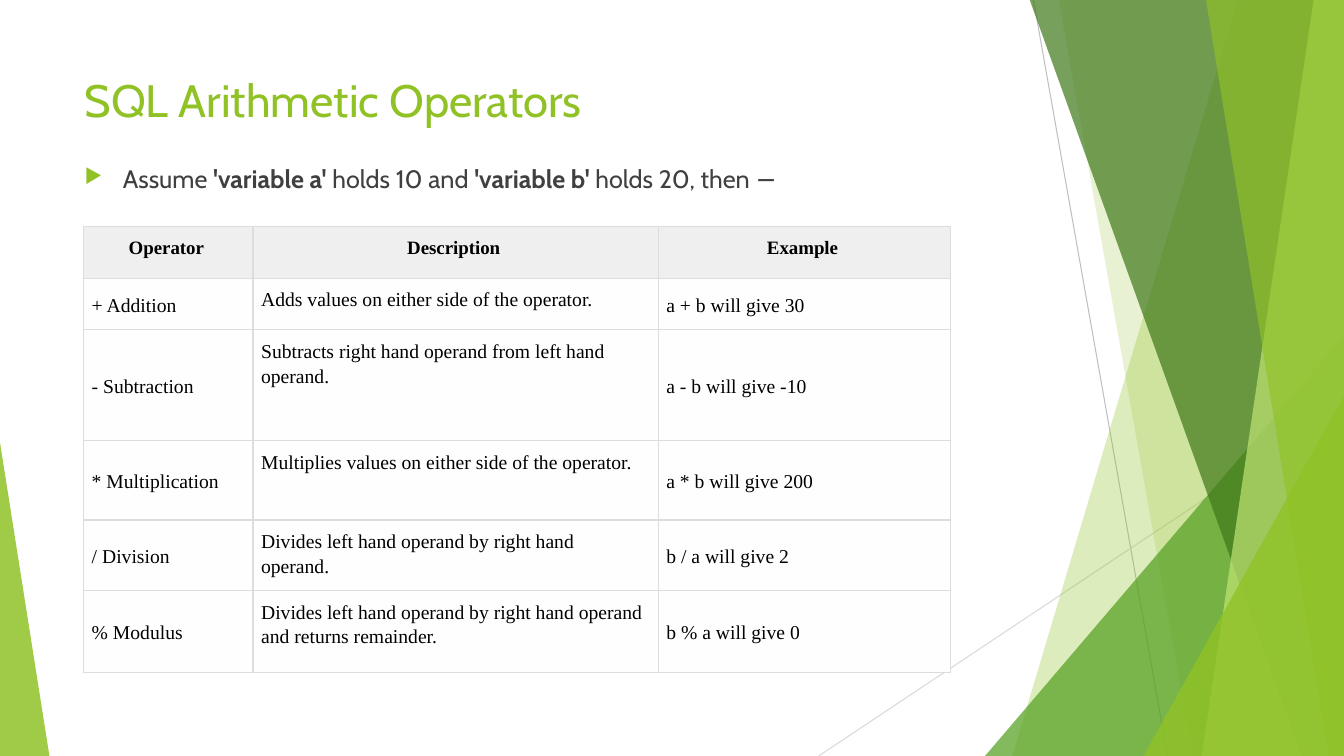
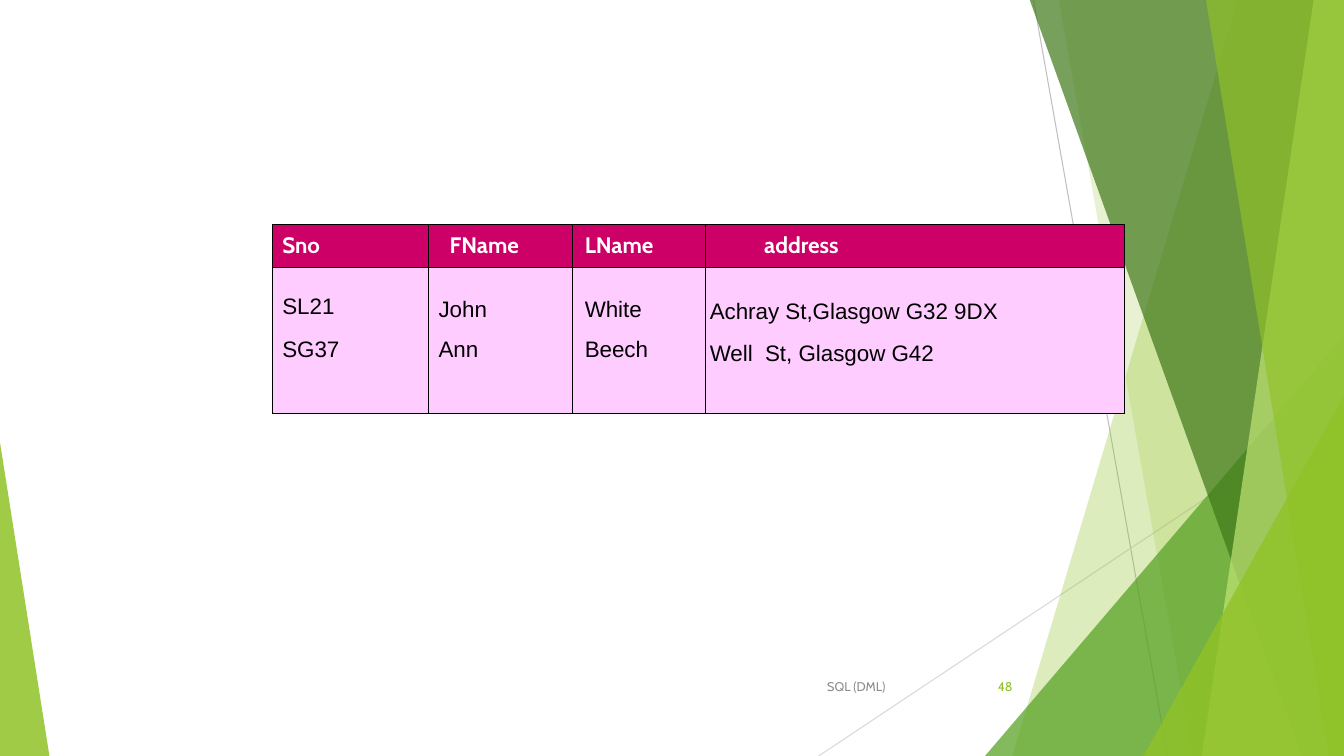
from dataclasses import dataclass

from lxml import etree
from pptx import Presentation
from pptx.dml.color import RGBColor
from pptx.enum.shapes import MSO_CONNECTOR, MSO_SHAPE
from pptx.enum.text import MSO_ANCHOR, PP_ALIGN
from pptx.oxml.ns import qn
from pptx.util import Inches, Pt

TRIANGLE = MSO_SHAPE.ISOSCELES_TRIANGLE
STRAIGHT = MSO_CONNECTOR.STRAIGHT
TOP, MIDDLE = MSO_ANCHOR.TOP, MSO_ANCHOR.MIDDLE
LEFT, CENTER, RIGHT = PP_ALIGN.LEFT, PP_ALIGN.CENTER, PP_ALIGN.RIGHT


@dataclass(frozen=True)
class TextStyle:
    """Font, size, colour and weight of a text."""
    font: str
    size: float
    color: str
    bold: bool = False


@dataclass(frozen=True)
class Theme:
    """Colours and type sizes of the presentation."""
    green: str = "90C226"
    mid_green: str = "54A021"
    dark_green: str = "3F7819"
    light_green: str = "C0E474"
    rule_dark: str = "BFBFBF"
    rule_light: str = "D9D9D9"
    grid: str = "DDDDDD"
    grid_head: str = "EFEFEF"
    grid_body: str = "FEFEFE"
    magenta: str = "CC0066"
    pink: str = "FFCCFF"
    black: str = "000000"
    title: TextStyle = TextStyle("Cabin", 32.4, "90C226")
    body: TextStyle = TextStyle("Cabin", 18, "404040")
    footer: TextStyle = TextStyle("Cabin", 9, "8C8C8C")
    number: TextStyle = TextStyle("Cabin", 9, "90C226")
    operator_head: TextStyle = TextStyle("Times New Roman", 13.5, "000000", True)
    operator_body: TextStyle = TextStyle("Times New Roman", 14, "000000")
    record_head: TextStyle = TextStyle("Cabin", 16, "FFFFFF", True)
    record_body: TextStyle = TextStyle("Arial", 16, "000000")


class Deck:
    """Holds the theme and the current slide and draws each kind of element."""

    def __init__(self, theme):
        """Start an empty widescreen presentation."""
        self.theme = theme
        self.presentation = Presentation()
        self.presentation.slide_width = Inches(13.33)
        self.presentation.slide_height = Inches(7.5)
        self.slide = None

    def new_slide(self):
        """Add a blank slide with the shared green facets."""
        theme = self.theme
        self.slide = self.presentation.slides.add_slide(self.presentation.slide_layouts[6])
        self.line((10.25, 0), (11.58, 7.5), theme.rule_dark)
        self.line((13.33, 4.03), (8.12, 7.5), theme.rule_light)
        self.facet(12.28, 10.04, theme.green, 30)
        self.facet(10.5, 11.83, theme.green, 20)
        self.triangle(9.77, 3.33, 3.56, 1, theme.mid_green, 72)
        self.facet(10.21, 12.91, theme.dark_green, 70)
        self.facet(13.03, 11.92, theme.light_green, 70)
        self.facet(11.96, 13.18, theme.green, 65)
        self.triangle(11.34, 3.93, 1.99, 1, theme.green, 80)
        self.triangle(0, 4.39, 0.49, 0, theme.green, 85)

    def line(self, start, end, color):
        """Draw a thin straight line."""
        points = [Inches(value) for value in (*start, *end)]
        connector = self.slide.shapes.add_connector(STRAIGHT, *points)
        connector.line.color.rgb = RGBColor.from_string(color)
        connector.line.width = Pt(0.75)
        etree.SubElement(connector.element.spPr, qn("a:effectLst"))

    def paint(self, shape, color, opacity):
        """Give a shape a translucent fill without outline or shadow."""
        shape.shadow.inherit = False
        shape.fill.solid()
        shape.fill.fore_color.rgb = RGBColor.from_string(color)
        shape.line.fill.background()
        fill_color = shape.element.spPr.find(qn("a:solidFill")).find(qn("a:srgbClr"))
        etree.SubElement(fill_color, qn("a:alpha"), val=str(opacity * 1000))

    def facet(self, top_left, bottom_left, color, opacity):
        """Draw a full-height facet that ends at the right slide edge."""
        corners = [(top_left, -0.01), (13.33, -0.01), (13.33, 7.5), (bottom_left, 7.5)]
        points = [(Inches(x), Inches(y)) for x, y in corners]
        builder = self.slide.shapes.build_freeform(*points[0], scale=1.0)
        builder.add_line_segments(points[1:], close=True)
        self.paint(builder.convert_to_shape(), color, opacity)

    def triangle(self, left, top, width, peak, color, opacity):
        """Draw a right triangle that stands on the bottom edge."""
        shape = self.slide.shapes.add_shape(
            TRIANGLE, Inches(left), Inches(top), Inches(width), Inches(7.5 - top))
        shape.adjustments[0] = peak
        self.paint(shape, color, opacity)

    def format_run(self, run, style, bold=None):
        """Apply a text style to a run."""
        run.font.name = style.font
        run.font.size = Pt(style.size)
        run.font.bold = style.bold if bold is None else bold
        run.font.color.rgb = RGBColor.from_string(style.color)

    def text(self, box, runs, style, align=LEFT, anchor=TOP):
        """Add a one-paragraph text box from (text, bold) runs."""
        shape = self.slide.shapes.add_textbox(*[Inches(value) for value in box])
        shape.text_frame.word_wrap = True
        shape.text_frame.vertical_anchor = anchor
        paragraph = shape.text_frame.paragraphs[0]
        paragraph.alignment = align
        for content, bold in runs:
            run = paragraph.add_run()
            run.text = content
            self.format_run(run, style, bold)
        return paragraph

    def title(self, content):
        """Add the slide title."""
        self.text((0.74, 0.67, 9.4, 0.7), [(content, False)], self.theme.title)

    def bullet(self, box, runs):
        """Add a body paragraph with a green arrow bullet."""
        paragraph = self.text(box, runs, self.theme.body)
        properties = paragraph._p.get_or_add_pPr()
        properties.set("marL", str(Inches(0.38)))
        properties.set("indent", str(-Inches(0.38)))
        color = etree.SubElement(properties, qn("a:buClr"))
        etree.SubElement(color, qn("a:srgbClr"), val=self.theme.green)
        etree.SubElement(properties, qn("a:buSzPct"), val="80000")
        etree.SubElement(properties, qn("a:buChar"), char="▶")

    def footer(self, content, number):
        """Add the footer text and the slide number."""
        self.text((7.88, 6.61, 1, 0.4), [(content, False)], self.theme.footer, RIGHT, MIDDLE)
        self.text((9.39, 6.61, 0.75, 0.4), [(number, False)], self.theme.number, RIGHT, MIDDLE)

    def table(self, left, top, widths, heights):
        """Add an unstyled table with the given column widths and row heights."""
        frame = self.slide.shapes.add_table(
            len(heights), len(widths), Inches(left), Inches(top),
            Inches(sum(widths)), Inches(sum(heights)))
        table = frame.table
        table.first_row = table.horz_banding = False
        for column, width in zip(table.columns, widths):
            column.width = Inches(width)
        for row, height in zip(table.rows, heights):
            row.height = Inches(height)
        return table

    def cell(self, cell, content, style, fill, border, margins,
             align=LEFT, anchor=TOP, spacing=1.0, sides="LRTB"):
        """Fill in one table cell; margins are left, top, right, bottom."""
        color, width = border
        properties = cell._tc.get_or_add_tcPr()
        for side in "LRTB":
            edge = etree.SubElement(properties, qn("a:ln" + side), w=str(Pt(width)))
            if side in sides:
                paint = etree.SubElement(edge, qn("a:solidFill"))
                etree.SubElement(paint, qn("a:srgbClr"), val=color)
            else:
                etree.SubElement(edge, qn("a:noFill"))
        cell.fill.solid()
        cell.fill.fore_color.rgb = RGBColor.from_string(fill)
        cell.margin_left, cell.margin_top, cell.margin_right, cell.margin_bottom = [
            Inches(value) for value in margins]
        cell.vertical_anchor = anchor
        cell.text_frame.text = content
        paragraph = cell.text_frame.paragraphs[0]
        paragraph.alignment = align
        paragraph.line_spacing = spacing
        self.format_run(paragraph.runs[0], style)


def add_operators_slide(deck):
    """Build the slide on arithmetic operators."""
    theme = deck.theme
    deck.new_slide()
    deck.title("SQL Arithmetic Operators")
    deck.bullet((0.74, 1.57, 9.4, 0.5), [
        ("Assume ", False), ("'variable a'", True), (" holds 10 and ", False),
        ("'variable b'", True), (" holds 20, then −", False)])
    rows = [
        ("Operator", "Description", "Example"),
        ("+ Addition", "Adds values on either side of the operator.", "a + b will give 30"),
        ("- Subtraction", "Subtracts right hand operand from left hand operand.",
         "a - b will give -10"),
        ("* Multiplication", "Multiplies values on either side of the operator.",
         "a * b will give 200"),
        ("/ Division", "Divides left hand operand by right hand operand.",
         "b / a will give 2"),
        ("% Modulus", "Divides left hand operand by right hand operand and returns remainder.",
         "b % a will give 0"),
    ]
    table = deck.table(0.83, 2.25, (1.68, 4.02, 2.9), (0.51, 0.51, 1.1, 0.79, 0.66, 0.82))
    for row_index, row in enumerate(rows):
        head = row_index == 0
        for column_index, content in enumerate(row):
            deck.cell(
                table.cell(row_index, column_index), content,
                theme.operator_head if head else theme.operator_body,
                theme.grid_head if head else theme.grid_body,
                (theme.grid, 1), (0.08, 0.08, 0.12, 0.08),
                align=CENTER if head else LEFT,
                anchor=TOP if head or column_index == 1 else MIDDLE, spacing=1.15)


def add_records_slide(deck):
    """Build the slide with the staff records."""
    theme = deck.theme
    deck.new_slide()
    deck.footer("SQL (DML)", "48")
    rows = [
        ("Sno", "FName", "LName", "address"),
        ("SL21", "John", "White", "Achray St,Glasgow G32 9DX"),
        ("SG37", "Ann", "Beech", "Well  St, Glasgow G42"),
    ]
    head_insets = (0.1, 0.21, 0.12, 0.58)
    body_insets = (0.1, 0.1, 0.12, 0.04)
    top_insets = ((0.05,) * 4, (0.27, 0.3, 0.3, 0.32), (0.06, 0.06, 0.06, 0.1))
    row_sides = ("LRTB", "LRT", "LRB")
    table = deck.table(2.7, 2.23, (1.55, 1.43, 1.32, 4.15), (0.42, 0.62, 0.82))
    for row_index, row in enumerate(rows):
        head = row_index == 0
        insets = head_insets if head else body_insets
        for column_index, content in enumerate(row):
            deck.cell(
                table.cell(row_index, column_index), content,
                theme.record_head if head else theme.record_body,
                theme.magenta if head else theme.pink, (theme.black, 0.75),
                (insets[column_index], top_insets[row_index][column_index], 0.05, 0.05),
                anchor=MIDDLE if head else TOP, sides=row_sides[row_index])


def main():
    """Build and save the presentation."""
    deck = Deck(Theme())
    add_operators_slide(deck)
    add_records_slide(deck)
    deck.presentation.save("out.pptx")


if __name__ == "__main__":
    main()
